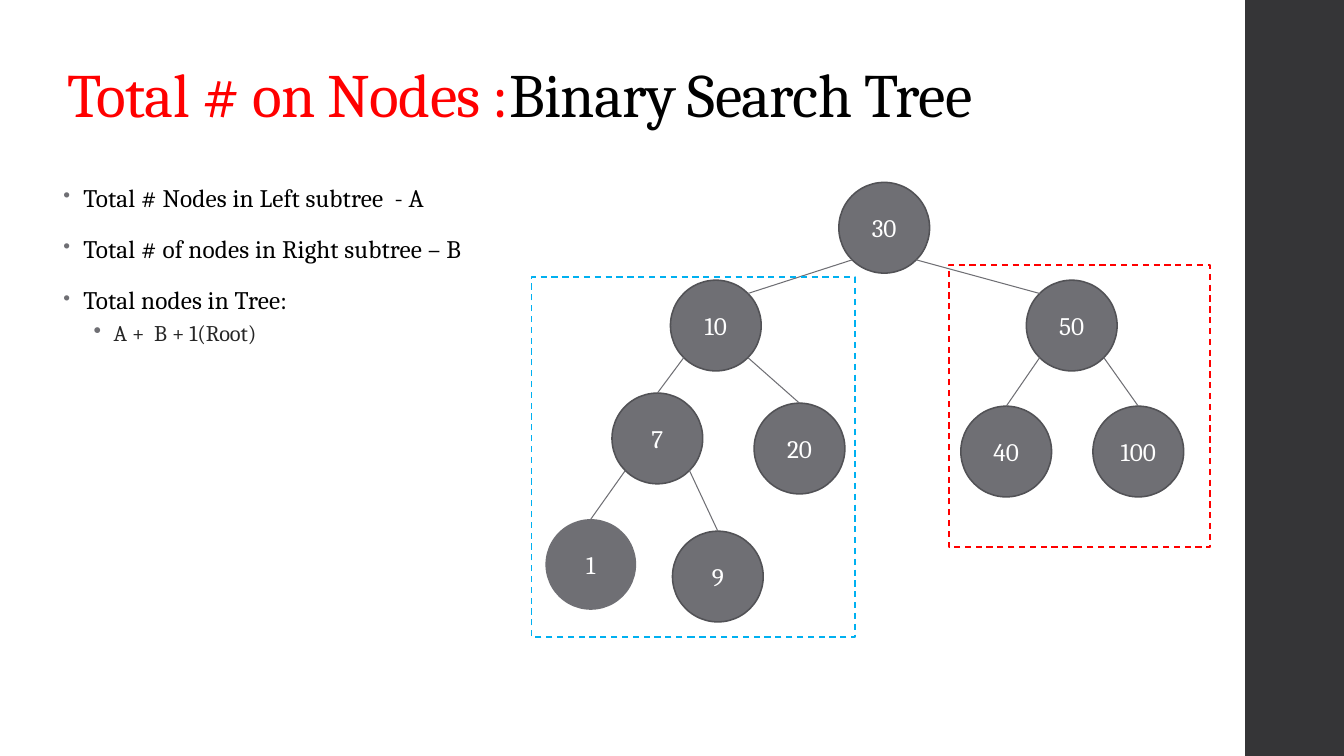
from lxml import etree
from pptx import Presentation
from pptx import util as u
from pptx.dml.color import RGBColor
from pptx.enum import dml, shapes, text
from pptx.oxml.ns import qn

GREY = "6F6F74"
SIZE = 0.9
DIAG = SIZE / 2 * 0.5 ** 0.5


def tint(code):
    """Turn a hex string into a colour."""
    return RGBColor.from_string(code)


def write(para, words, size=18, color="000000", gap=0, font="Cambria"):
    """Add a formatted run to a paragraph."""
    run = para.add_run()
    run.text = words
    run.font.size = u.Pt(size)
    run.font.name = font
    run.font.color.rgb = tint(color)
    if gap:
        run.font._element.set("spc", str(round(gap * 100)))


class Board:
    """Holds the style and the current slide."""

    def __init__(self, slide):
        """Keep the slide to draw on."""
        self.slide = slide

    def shape(self, kind, box, fill=None, line=None, dash=False):
        """Add a preset shape."""
        item = self.slide.shapes.add_shape(kind, *map(u.Inches, box))
        item.shadow.inherit = False
        if fill:
            item.fill.solid()
            item.fill.fore_color.rgb = tint(fill)
        else:
            item.fill.background()
        if line:
            item.line.color.rgb = tint(line)
            item.line.width = u.Pt(1.1)
            if dash:
                item.line.dash_style = dml.MSO_LINE.DASH
        else:
            item.line.fill.background()
        return item

    def node(self, label, left, top, line="525256"):
        """Add a tree node."""
        item = self.shape(shapes.MSO_SHAPE.OVAL, (left, top, SIZE, SIZE), GREY, line)
        frame = item.text_frame
        frame.word_wrap = False
        frame.vertical_anchor = text.MSO_ANCHOR.MIDDLE
        para = frame.paragraphs[0]
        para.alignment = text.PP_ALIGN.CENTER
        write(para, label, color="FFFFFF")
        return item

    def edge(self, start, end):
        """Add a thin straight line."""
        item = self.slide.shapes.add_connector(
            shapes.MSO_CONNECTOR.STRAIGHT, *map(u.Inches, (*start, *end)))
        item.line.color.rgb = tint(GREY)
        item.line.width = u.Pt(0.75)
        etree.SubElement(item._element.spPr, qn("a:effectLst"))
        return item

    def box(self, place, anchor=text.MSO_ANCHOR.TOP):
        """Add a wrapping text box and return its frame."""
        frame = self.slide.shapes.add_textbox(*map(u.Inches, place)).text_frame
        frame.word_wrap = True
        frame.vertical_anchor = anchor
        return frame

    def bullet(self, para, left, scale):
        """Give a paragraph a hanging grey bullet."""
        props = para._p.get_or_add_pPr()
        props.set("marL", str(u.Inches(left)))
        props.set("indent", str(u.Inches(-0.2)))
        color = etree.SubElement(props, qn("a:buClr"))
        etree.SubElement(color, qn("a:srgbClr"), val=GREY)
        etree.SubElement(props, qn("a:buSzPct"), val=str(scale * 1000))
        etree.SubElement(props, qn("a:buChar"), char="•")

    def list(self, place, items):
        """Add a two-level bullet list."""
        frame = self.box(place)
        for i, (words, level) in enumerate(items):
            para = frame.add_paragraph() if i else frame.paragraphs[0]
            self.bullet(para, 0.5 if level else 0.2, 100 if level else 80)
            para.level = level
            para.line_spacing = 0.9 if level else 0.95
            para.space_before = u.Pt((3 if level else 14) if i else 0)
            para.space_after = u.Pt(3 if level else 2)
            if level:
                write(para, words, size=16, color="262626")
            else:
                write(para, words, gap=0.1)


def main():
    """Build the slide and save it."""
    deck = Presentation()
    deck.slide_width, deck.slide_height = u.Inches(13.33), u.Inches(7.5)
    board = Board(deck.slides.add_slide(deck.slide_layouts[6]))
    rect = shapes.MSO_SHAPE.RECTANGLE
    board.shape(rect, (12.35, 0, 1, 7.5), "353537")

    title = board.box((0.57, 0.49, 10.6, 0.86), text.MSO_ANCHOR.BOTTOM).paragraphs[0]
    title.line_spacing = 0.9
    write(title, "Total # on Nodes :", size=44, color="FF0000", gap=-0.5)
    write(title, "Binary Search Tree", size=44, gap=-0.5)

    spots = {
        "30": (8.32, 1.81), "10": (6.65, 2.78), "50": (10.18, 2.78),
        "7": (6.07, 3.9), "20": (7.48, 4), "1": (5.41, 5.15),
        "9": (6.67, 5.27), "40": (9.53, 4.03), "100": (10.84, 4.03),
    }
    nodes = {key: board.node(key, *spot, line=None if key == "1" else "525256")
             for key, spot in spots.items()}
    mids = {key: (x + SIZE / 2, y + SIZE / 2) for key, (x, y) in spots.items()}
    tree = {"30": ("10", "50"), "10": ("7", "20"), "7": ("1", "9"), "50": ("40", "100")}
    for top, kids in tree.items():
        for kid, side in zip(kids, (-1, 1)):
            (px, py), (kx, ky) = mids[top], mids[kid]
            start = (px + side * DIAG, py + DIAG)
            if top == "30":
                board.edge(start, (kx - side * DIAG, ky - DIAG))
            else:
                board.edge(start, (kx, ky - SIZE / 2)).end_connect(nodes[kid], 0)

    board.list((0.53, 1.78, 5.34, 3.94), [
        ("Total # Nodes in Left subtree  - A", 0),
        ("Total # of nodes in Right subtree – B", 0),
        ("Total nodes in Tree:", 0),
        ("A +  B + 1(Root)", 1),
    ])
    board.shape(rect, (5.27, 2.75, 3.21, 3.57), line="00B0F0", dash=True)
    board.shape(rect, (9.41, 2.63, 2.59, 2.8), line="FF0000", dash=True)
    deck.save("out.pptx")


if __name__ == "__main__":
    main()
